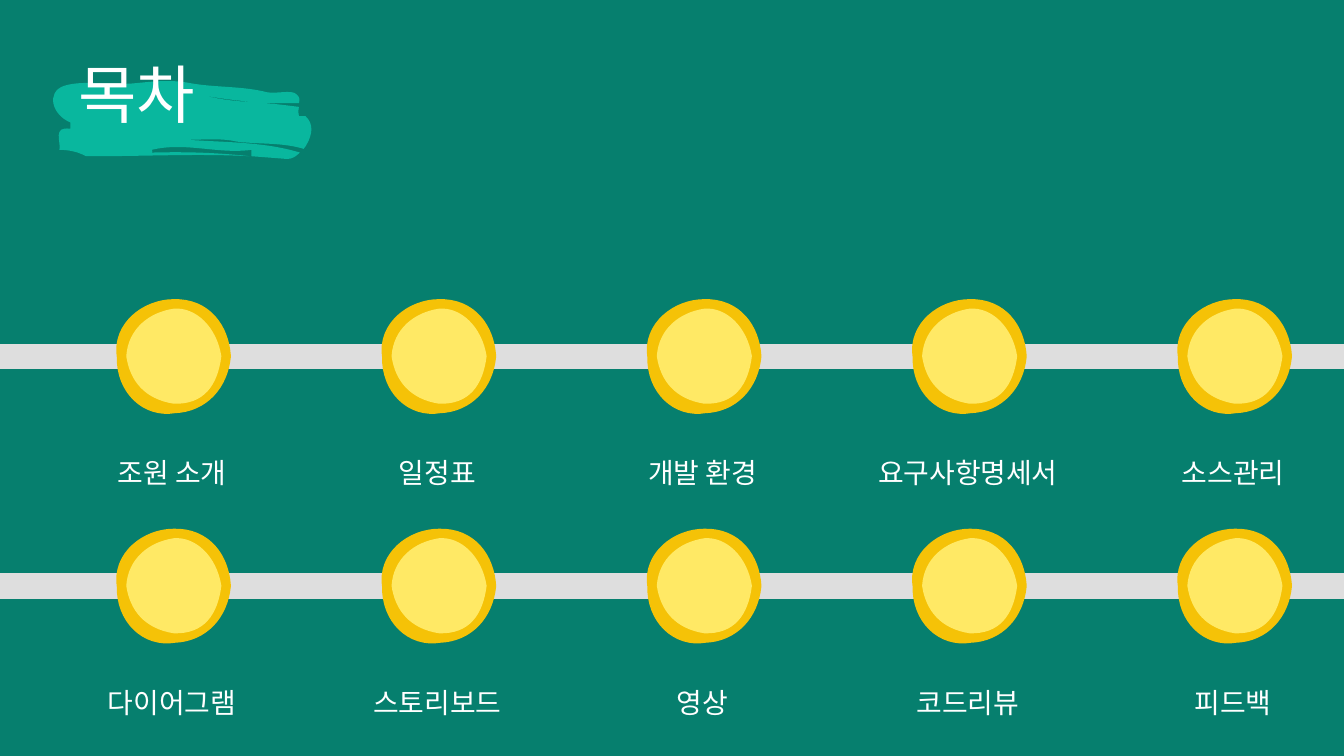
"""Builds a table-of-contents slide: a brushed title over two timelines of topics."""
from lxml import etree
from pptx import Presentation
from pptx.dml.color import RGBColor
from pptx.enum.shapes import MSO_CONNECTOR
from pptx.enum.text import MSO_AUTO_SIZE, PP_ALIGN
from pptx.oxml.ns import qn
from pptx.util import Cm, Pt

STRAIGHT = MSO_CONNECTOR.STRAIGHT
FIT_SHAPE = MSO_AUTO_SIZE.SHAPE_TO_FIT_TEXT
LEFT, CENTER = PP_ALIGN.LEFT, PP_ALIGN.CENTER

COLORS = {
    "background": "067F6E",
    "brush": "09B79E",
    "track": "DEDEDE",
    "ring": "F5C207",
    "core": "FFE965",
    "text": "FFFFFF",
}
FONT = "Noto Sans CJK KR"
SLIDE_W, SLIDE_H = 37.34, 21.01
FIRST_X, STEP_X = 4.83, 7.37
FIRST_Y, STEP_Y = 9.9, 6.38
LABEL_DX, LABEL_DY, LABEL_H = -0.05, 2.64, 1.17
UNIT = Cm(2.54) / 100

TOPICS = [
    ["조원 소개", "일정표", "개발 환경", "요구사항명세서", "소스관리"],
    ["다이어그램", "스토리보드", "영상", "코드리뷰", "피드백"],
]

RING = [
    (-52, 0), (-57, -30, -28, -52, 0, -52), (33, -53, 50, -28, 52, 0),
    (49, 29, 30, 51, 0, 52), (-28, 57, -53, 34, -52, 0),
]
CORE = [
    (-52, 0), (-50, -30, -27, -48, 0, -52), (24, -54, 47, -32, 52, 0),
    (48, 32, 33, 53, 0, 52), (-32, 47, -48, 27, -52, 0),
]
BRUSH = [
    (332, 163), (331, 162, 330, 162, 329, 162), (306, 156, 284, 158, 259, 155),
    (242, 151, 223, 153, 205, 153), (246, 156, 289, 155, 328, 167),
    (324, 171, 320, 174, 314, 174), (301, 173, 288, 172, 275, 171), (275, 164),
    (238, 169, 203, 155, 166, 164), (167, 165, 167, 166, 166, 167),
    (203, 166, 237, 167, 273, 171), (217, 168, 162, 171, 104, 171),
    (102, 171, 97, 171, 94, 171), (85, 166, 75, 164, 65, 164),
    (67, 155, 57, 138, 77, 141), (77, 134), (57, 126, 50, 101, 70, 94),
    (92, 87, 122, 94, 149, 91), (169, 89, 188, 87, 208, 91),
    (235, 96, 265, 94, 292, 101), (302, 103, 319, 98, 324, 103),
    (328, 106, 328, 109, 327, 113), (311, 113, 295, 113, 279, 112),
    (260, 110, 240, 108, 221, 104), (240, 109, 259, 111, 279, 112),
    (295, 113, 311, 115, 327, 117), (326, 120, 326, 124, 327, 127),
    (334, 127), (344, 136, 341, 148, 336, 157), (335, 159, 334, 161, 332, 163),
]


def rgb(name):
    """Return the named palette colour."""
    return RGBColor.from_string(COLORS[name])


def bend(sp, outline):
    """Turn the straight segments of a freeform into the outline's cubic curves."""
    left = min(part[-2] for part in outline)
    top = min(part[-1] for part in outline)
    segments = list(sp._element.iter(qn("a:lnTo")))
    for part, segment in zip(outline[1:], segments):
        if len(part) == 6:
            curve = etree.Element(qn("a:cubicBezTo"))
            for x, y in zip(part[::2], part[1::2]):
                etree.SubElement(curve, qn("a:pt"), x=str(x - left), y=str(y - top))
            segment.getparent().replace(segment, curve)


def add_outline(shapes, outline, x=0, y=0, fill=None, line=None, width=0):
    """Add a curved closed shape whose zero point lies at x, y in cm."""
    anchors = [part[-2:] for part in outline]
    builder = shapes.build_freeform(*anchors[0], scale=UNIT)
    builder.add_line_segments(anchors[1:], close=True)
    sp = builder.convert_to_shape(Cm(x), Cm(y))
    bend(sp, outline)
    sp.shadow.inherit = False
    if fill:
        sp.fill.solid()
        sp.fill.fore_color.rgb = rgb(fill)
    else:
        sp.fill.background()
    if line:
        sp.line.color.rgb = rgb(line)
        sp.line.width = Pt(width)
    else:
        sp.line.fill.background()


def add_text(shapes, text, box, size=22, color="text", align=LEFT, wrap=True):
    """Add a one-line text box; box is left, top, width, height in cm."""
    sp = shapes.add_textbox(*(Cm(v) for v in box))
    tf = sp.text_frame
    tf.word_wrap = wrap
    tf.auto_size = FIT_SHAPE
    p = tf.paragraphs[0]
    p.alignment = align
    r = p.add_run()
    r.text = text
    r.font.size = Pt(size)
    r.font.color.rgb = rgb(color)
    r.font.name = FONT
    etree.SubElement(r.font._element, qn("a:ea"), typeface=FONT)


def add_track(shapes, y):
    """Add the thick line that crosses the slide at height y."""
    cn = shapes.add_connector(STRAIGHT, 0, Cm(y), Cm(SLIDE_W), Cm(y))
    cn.line.color.rgb = rgb("track")
    cn.line.width = Pt(20)
    etree.SubElement(cn._element.spPr, qn("a:effectLst"))


def add_topic(shapes, text, x, y):
    """Add a timeline node centred at x, y with its label below."""
    add_outline(shapes, RING, x, y, line="ring", width=15)
    add_outline(shapes, CORE, x, y, fill="core")
    spaces = text.count(" ")
    w = 0.6 + 0.77 * (len(text) - spaces) + 0.25 * spaces
    box = (x + LABEL_DX - w / 2, y + LABEL_DY, w, LABEL_H)
    add_text(shapes, text, box, align=CENTER, wrap=False)


def add_title(shapes, text):
    """Add the title grouped with its brush stroke."""
    group = shapes.add_group_shape()
    add_outline(group.shapes, BRUSH, fill="brush")
    add_text(group.shapes, text, (1.93, 1.4, 6.17, 2.36), size=50)


def main():
    """Build and save the slide."""
    prs = Presentation()
    prs.slide_width, prs.slide_height = Cm(SLIDE_W), Cm(SLIDE_H)
    slide = prs.slides.add_slide(prs.slide_layouts[6])
    slide.background.fill.solid()
    slide.background.fill.fore_color.rgb = rgb("background")
    add_title(slide.shapes, "목차")
    for row, topics in enumerate(TOPICS):
        y = FIRST_Y + row * STEP_Y
        add_track(slide.shapes, y)
        for col, topic in enumerate(topics):
            add_topic(slide.shapes, topic, FIRST_X + col * STEP_X, y)
    prs.save("out.pptx")


if __name__ == "__main__":
    main()
